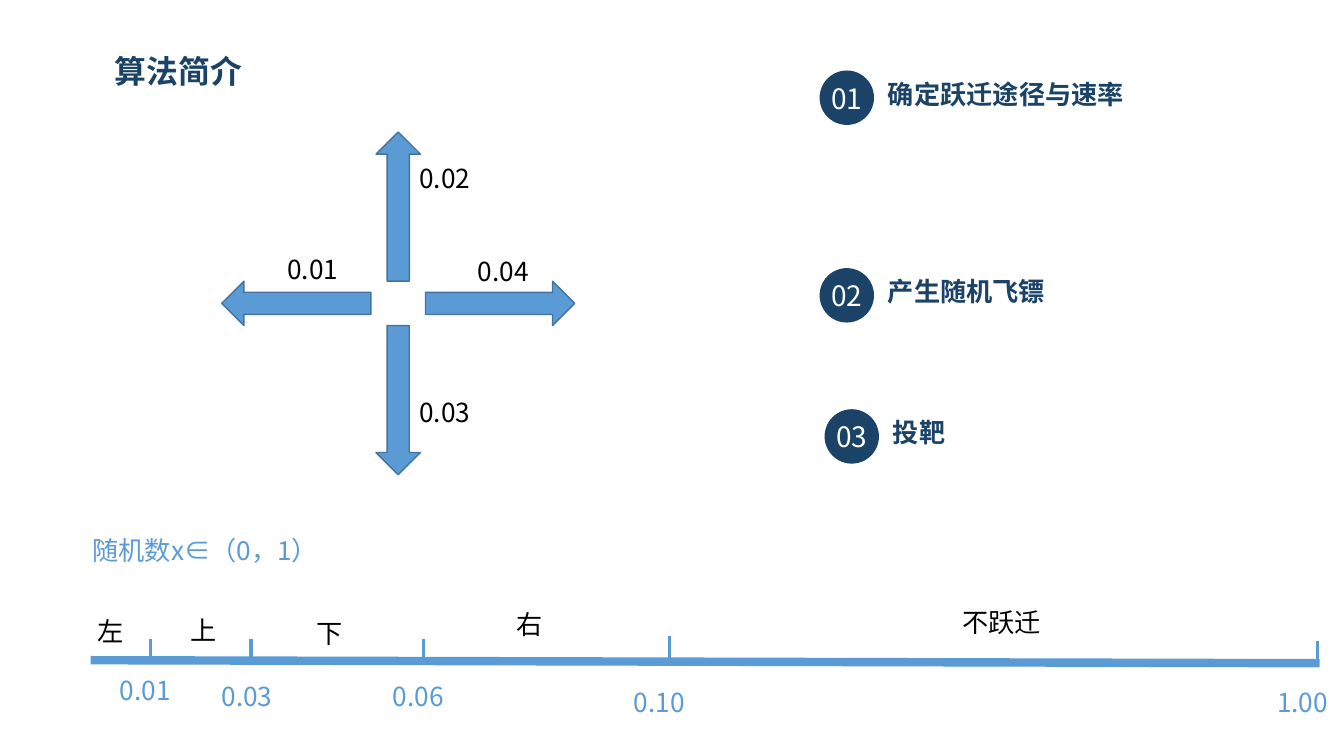
from lxml.etree import SubElement
from pptx import Presentation
from pptx.dml.color import RGBColor as Color
from pptx.enum.shapes import MSO_CONNECTOR as Connector, MSO_SHAPE as Preset
from pptx.enum.text import MSO_ANCHOR as Anchor, MSO_AUTO_SIZE as AutoSize, PP_ALIGN as Align
from pptx.oxml.ns import qn
from pptx.util import Inches, Pt

THEME = {
    "font": "Noto Sans CJK SC",
    "line_height": 1.22,
    "navy": Color.from_string("1B4367"),
    "blue": Color.from_string("5B9BD5"),
    "edge": Color.from_string("43739E"),
    "black": Color.from_string("000000"),
    "white": Color.from_string("FFFFFF"),
    "title": 22.7,
    "badge": 20,
    "body": 18.7,
}
TITLE = {"size": Pt(THEME["title"]), "bold": True, "color": THEME["navy"]}
STEP = {"size": Pt(THEME["body"]), "bold": True, "color": THEME["navy"]}
BADGE = {"size": Pt(THEME["badge"]), "bold": False, "color": THEME["white"]}
LABEL = {"size": Pt(THEME["body"]), "bold": False, "color": THEME["black"]}
SCALE = {"size": Pt(THEME["body"]), "bold": False, "color": THEME["blue"]}

deck = Presentation()
deck.slide_width, deck.slide_height = Inches(13.33), Inches(7.5)
page = deck.slides.add_slide(deck.slide_layouts[6])


def share(*percents):
    """Turn alternating percentages of slide width and height into lengths."""
    sides = (deck.slide_width, deck.slide_height)
    return [round(sides[i % 2] * percent / 100) for i, percent in enumerate(percents)]


def write(text, style, area=None, shape=None, wrap=False):
    """Put one line of styled text in a shape, or in a new text box at area."""
    box = shape or page.shapes.add_textbox(*share(*area))
    frame = box.text_frame
    frame.word_wrap = wrap
    if shape is None:
        frame.auto_size = AutoSize.SHAPE_TO_FIT_TEXT
    para = frame.paragraphs[0]
    para.line_spacing = Pt(style["size"].pt * THEME["line_height"])
    span = para.add_run()
    span.text = text
    span.font.color.rgb = style["color"]
    for name, value in {"name": THEME["font"], "size": style["size"], "bold": style["bold"]}.items():
        setattr(span.font, name, value)
    SubElement(span.font._element, qn("a:ea")).set("typeface", THEME["font"])
    return frame


write("算法简介", TITLE, (7.8, 6.13, 24.75, 6.4), wrap=True)

# Four jump directions around a centre, each with its rate
CENTER_X, CENTER_Y = 29.63, 40.13
REACH_X, REACH_Y = 7.58, 12.8
ARROW_WIDTH, ARROW_HEIGHT = 11.1, 5.87
NUMBER_WIDTH, LINE_HEIGHT = 5.48, 5.6
jumps = [
    (-1, 0, 0, "0.01", 20.63, 32.8),
    (0, -1, 90, "0.02", 30.45, 20.8),
    (1, 0, 180, "0.04", 34.8, 33.07),
    (0, 1, 270, "0.03", 30.45, 51.73),
]
for step_x, step_y, turn, rate, rate_x, rate_y in jumps:
    arrow = page.shapes.add_shape(Preset.LEFT_ARROW, *share(
        CENTER_X + step_x * REACH_X - ARROW_WIDTH / 2,
        CENTER_Y + step_y * REACH_Y - ARROW_HEIGHT / 2, ARROW_WIDTH, ARROW_HEIGHT))
    arrow.rotation = turn
    arrow.shadow.inherit = False
    arrow.fill.solid()
    arrow.fill.fore_color.rgb = THEME["blue"]
    arrow.line.color.rgb = THEME["edge"]
    arrow.line.width = Pt(1)
    write(rate, LABEL, (rate_x, rate_y, NUMBER_WIDTH, LINE_HEIGHT))

# Number line: tick x, tick top, value, value x, value y
TICK_LENGTH = 3.2
ticks = [
    (11.18, 84.53, "0.01", 8.18, 88.53),
    (18.68, 84.53, "0.03", 15.75, 89.2),
    (31.5, 84.53, "0.06", 28.5, 89.2),
    (49.8, 84.13, "0.10", 46.43, 90),
    (98.03, 84.8, "1.00", 94.28, 90),
]
strokes = [((6.75, 87.33, 98.18, 87.73), 6)]
for tick_x, tick_top, value, value_x, value_y in ticks:
    strokes.append(((tick_x, tick_top, tick_x, tick_top + TICK_LENGTH), 2.25))
    write(value, SCALE, (value_x, value_y, NUMBER_WIDTH, LINE_HEIGHT))
for ends, weight in strokes:
    stroke = page.shapes.add_connector(Connector.STRAIGHT, *share(*ends))
    stroke.line.color.rgb = THEME["blue"]
    stroke.line.width = Pt(weight)
    SubElement(stroke._element.spPr, qn("a:effectLst"))

write("随机数x∈（0，1）", SCALE, (6.15, 70, 18.53, LINE_HEIGHT), wrap=True)
intervals = [
    ("左", 6.53, 80.67, 3.45),
    ("上", 13.43, 80.53, 3.45),
    ("下", 22.8, 80.93, 3.45),
    ("右", 37.73, 79.73, 3.45),
    ("不跃迁", 70.88, 79.47, 7.43),
]
for name, left, top, width in intervals:
    write(name, LABEL, (left, top, width, LINE_HEIGHT))

# Numbered steps
steps = [
    ("确定跃迁途径与速率", 60.98, 9.33, 19.13),
    ("产生随机飞镖", 60.98, 35.47, 13.28),
    ("投靶", 61.35, 54.13, 5.4),
]
for number, (name, left, top, width) in enumerate(steps, 1):
    badge = page.shapes.add_shape(Preset.OVAL, *share(left, top, 4.05, 7.2))
    badge.shadow.inherit = False
    badge.fill.solid()
    badge.fill.fore_color.rgb = THEME["navy"]
    badge.line.fill.background()
    frame = write(f"{number:02}", BADGE, shape=badge)
    frame.paragraphs[0].alignment = Align.CENTER
    layout = {"margin_left": 0, "margin_right": 0, "margin_top": 0, "margin_bottom": 0,
              "vertical_anchor": Anchor.MIDDLE}
    for key, value in layout.items():
        setattr(frame, key, value)
    write(name, STEP, (left + 4.35, top + 0.27, width, LINE_HEIGHT))

deck.save("out.pptx")
